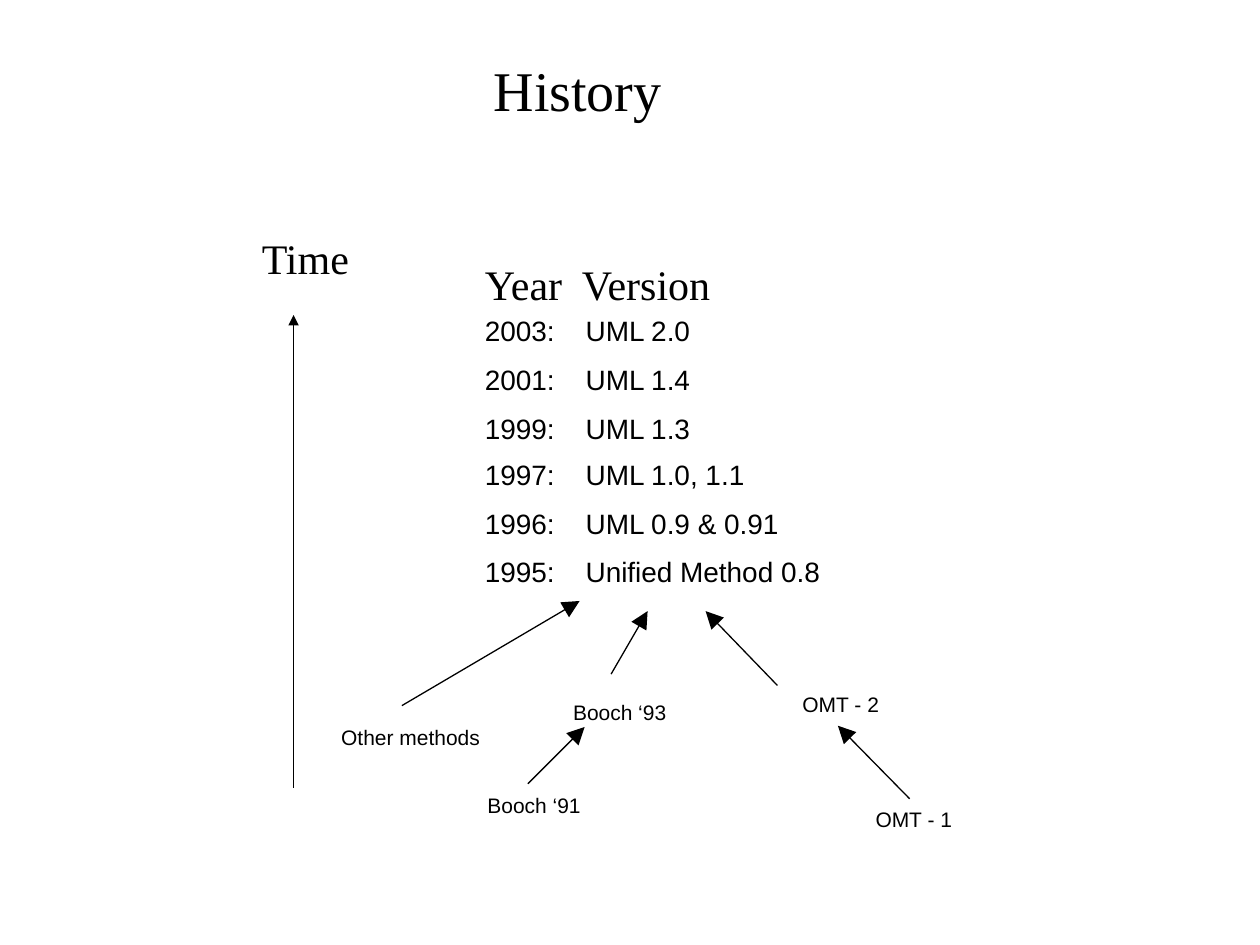
from dataclasses import dataclass

from lxml.etree import SubElement
from pptx import Presentation
from pptx.dml.color import RGBColor
from pptx.enum.shapes import MSO_CONNECTOR
from pptx.enum.text import MSO_ANCHOR, PP_ALIGN
from pptx.oxml.ns import qn
from pptx.util import Inches, Pt


@dataclass(frozen=True)
class Theme:
    """Colours, fonts and type sizes of the deck."""
    ink: RGBColor = RGBColor(0, 0, 0)
    paper: RGBColor = RGBColor(255, 255, 255)
    serif: str = "Times New Roman"
    sans: str = "Arial"
    title: float = 32
    heading: float = 24
    row: float = 16
    label: float = 12
    row_gap: float = 8.7
    line: float = 0.75


THEME = Theme()


def write(para, text, font, size):
    """Put one formatted span into a paragraph."""
    span = para.add_run()
    span.text = text
    span.font.name = font
    span.font.size = Pt(size)
    span.font.color.rgb = THEME.ink


def set_tab(para, position):
    """Give a paragraph one left tab stop."""
    stops = SubElement(para._p.get_or_add_pPr(), qn("a:tabLst"))
    SubElement(stops, qn("a:tab"), pos=str(Inches(position)), algn="l")


def add_text(page, lines, left, top, width, height, *, font, size, wrap=True, tab=None):
    """Add a text box with one paragraph for each line."""
    box = page.shapes.add_textbox(Inches(left), Inches(top), Inches(width), Inches(height))
    frame = box.text_frame
    frame.word_wrap = wrap
    for index, line in enumerate(lines):
        para = frame.add_paragraph() if index else frame.paragraphs[0]
        if index:
            para.space_before = Pt(THEME.row_gap)
        if tab:
            set_tab(para, tab)
        write(para, line, font, size)


def add_arrow(page, start, end, head="lg"):
    """Add a straight line with a triangle at its end."""
    points = [Inches(value) for value in (*start, *end)]
    arrow = page.shapes.add_connector(MSO_CONNECTOR.STRAIGHT, *points)
    arrow.line.color.rgb = THEME.ink
    arrow.line.width = Pt(THEME.line)
    SubElement(arrow.line._ln, qn("a:tailEnd"), type="triangle", w=head, len=head)
    SubElement(arrow._element.spPr, qn("a:effectLst"))


def place_title(page, text, left, top, width, height):
    """Move and format the title placeholder."""
    title = page.shapes.title
    title.left, title.top = Inches(left), Inches(top)
    title.width, title.height = Inches(width), Inches(height)
    frame = title.text_frame
    frame.vertical_anchor = MSO_ANCHOR.MIDDLE
    para = frame.paragraphs[0]
    para.alignment = PP_ALIGN.CENTER
    write(para, text, THEME.serif, THEME.title)


def place_time_axis(page, left, top, height):
    """Draw the time heading above its upward arrow."""
    add_text(page, ["Time"], left, top, 0.9, 0.5,
             font=THEME.serif, size=THEME.heading, wrap=False)
    middle = left + 0.35
    add_arrow(page, (middle, top + height), (middle, top + 0.7), head="med")


def place_versions(page, left, top):
    """Write the version heading and its two blocks of years."""
    add_text(page, ["Year\tVersion"], left, top, 2.5, 0.5,
             font=THEME.serif, size=THEME.heading, tab=0.77)
    blocks = [
        (0.44, 2.67, [("2003", "UML 2.0"), ("2001", "UML 1.4"), ("1999", "UML 1.3")]),
        (1.58, 4.6, [("1997", "UML 1.0, 1.1"), ("1996", "UML 0.9 & 0.91"),
                     ("1995", "Unified Method 0.8")]),
    ]
    for offset, width, rows in blocks:
        lines = [f"{year}:\t{version}" for year, version in rows]
        add_text(page, lines, left, top + offset, width, 1.17,
                 font=THEME.sans, size=THEME.row, tab=0.8)


def place_origins(page, left, top):
    """Place the earlier methods and the arrows between them."""
    labels = [
        ("Other methods", 0, 0.93, 1.3),
        ("Booch ‘91", 1.16, 1.47, 0.94),
        ("Booch ‘93", 1.84, 0.73, 0.94),
        ("OMT - 2", 3.66, 0.67, 0.81),
        ("OMT - 1", 4.24, 1.58, 0.81),
    ]
    for text, across, down, width in labels:
        add_text(page, [text], left + across, top + down, width, 0.3,
                 font=THEME.sans, size=THEME.label, wrap=False)
    arrows = [
        ((0.58, 0.83), (1.99, 0)),
        ((1.58, 1.45), (2.03, 1)),
        ((2.24, 0.58), (2.53, 0.08)),
        ((4.61, 1.57), (4.04, 0.99)),
        ((3.56, 0.67), (2.99, 0.08)),
    ]
    for ends in arrows:
        start, end = [(left + across, top + down) for across, down in ends]
        add_arrow(page, start, end)


def build_history(deck):
    """Build the history slide."""
    page = deck.slides.add_slide(deck.slide_layouts[5])
    page.background.fill.solid()
    page.background.fill.fore_color.rgb = THEME.paper
    place_title(page, "History", 0.83, 0, 7.51, 1.42)
    place_time_axis(page, 1.98, 1.8, 4.45)
    place_versions(page, 3.75, 2)
    place_origins(page, 2.61, 4.77)


def main():
    """Build and save the deck."""
    deck = Presentation()
    deck.slide_width, deck.slide_height = Inches(10), Inches(7.5)
    build_history(deck)
    deck.save("out.pptx")


main()
